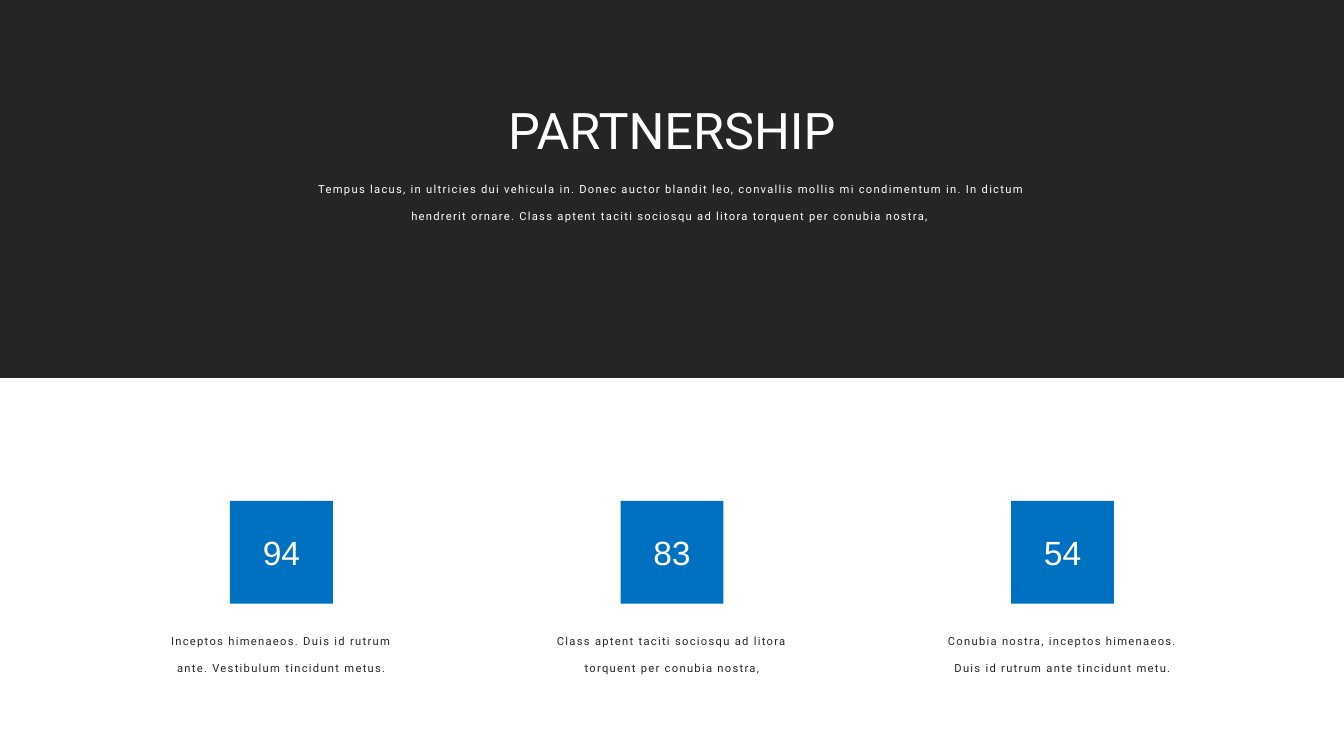
from pptx import Presentation
from pptx.dml.color import RGBColor
from pptx.enum.shapes import MSO_SHAPE
from pptx.enum.text import MSO_AUTO_SIZE, PP_ALIGN
from pptx.util import Emu, Pt

EMU_PER_PX = 9525
WIDTH, HEIGHT = 1280, 720
WHITE = RGBColor(0xFF, 0xFF, 0xFF)
DARK = RGBColor(0x25, 0x25, 0x25)
INK = RGBColor(0x26, 0x26, 0x26)
BLUE = RGBColor(0x00, 0x70, 0xC0)


def px(n):
    return Emu(n * EMU_PER_PX)


class Deck:
    heading_font = "Roboto"
    number_font = "Arial"

    def __init__(self):
        self.prs = Presentation()
        self.prs.slide_width = px(WIDTH)
        self.prs.slide_height = px(HEIGHT)
        self.s = self.prs.slides.add_slide(self.prs.slide_layouts[6])

    def rect(self, x, y, w, h, color):
        sp = self.s.shapes.add_shape(MSO_SHAPE.RECTANGLE, px(x), px(y), px(w), px(h))
        sp.shadow.inherit = False
        sp.fill.solid()
        sp.fill.fore_color.rgb = color
        sp.line.fill.background()

    def text(self, center, y, w, h, text, size, color, font, leading=1.0, spacing=0):
        sp = self.s.shapes.add_textbox(px(center - w // 2), px(y), px(w), px(h))
        tf = sp.text_frame
        tf.word_wrap = True
        tf.auto_size = MSO_AUTO_SIZE.SHAPE_TO_FIT_TEXT
        p = tf.paragraphs[0]
        p.alignment = PP_ALIGN.CENTER
        p.line_spacing = leading
        r = p.add_run()
        r.text = text
        r.font.size = Pt(size)
        r.font.name = font
        r.font.color.rgb = color
        if spacing:
            r.font._element.set("spc", str(spacing))

    def title(self, center, y, text):
        self.text(center, y, 498, 89, text, 36, WHITE, self.heading_font, 1.5)

    def body(self, center, y, w, text, color):
        self.text(center, y, w, 59, text, 8, color, self.heading_font, 2.0, 90)

    def stat(self, center, number, caption):
        self.rect(center - 49, 477, 98, 98, BLUE)
        self.text(center, 502, 84, 48, number, 24, WHITE, self.number_font)
        self.body(center, 587, 256, caption, INK)


def main():
    deck = Deck()
    middle = WIDTH // 2
    deck.rect(0, 0, WIDTH, HEIGHT // 2, DARK)
    deck.title(middle, 61, "PARTNERSHIP")
    deck.body(
        middle, 156, 726,
        "Tempus lacus, in ultricies dui vehicula in. Donec auctor blandit leo, "
        "convallis mollis mi condimentum in. In dictum hendrerit ornare. "
        "Class aptent taciti sociosqu ad litora torquent per conubia nostra, ",
        WHITE,
    )
    stats = [
        ("94", "Inceptos himenaeos. Duis id rutrum ante. Vestibulum tincidunt metus."),
        ("83", "Class aptent taciti sociosqu ad litora torquent per conubia nostra,"),
        ("54", "Conubia nostra, inceptos himenaeos. Duis id rutrum ante tincidunt metu."),
    ]
    pitch = 372
    for i, (number, caption) in enumerate(stats):
        deck.stat(middle + (i - 1) * pitch, number, caption)
    deck.prs.save("out.pptx")


if __name__ == "__main__":
    main()
